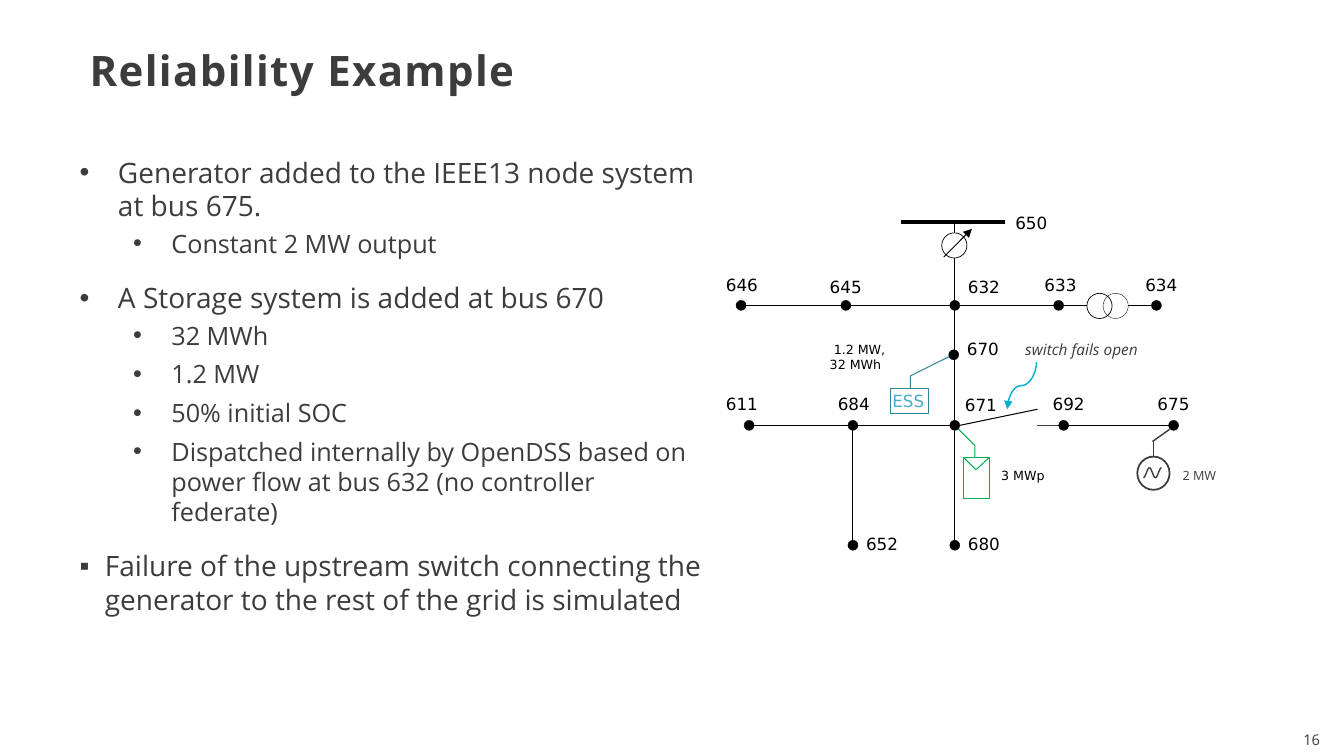
"""Build the reliability example slide with a feeder diagram."""
import math
import pptx
import pptx.util
import pptx.dml.color
import pptx.enum.shapes
import pptx.enum.text
import pptx.oxml

GREY, BLACK, WHITE = "3C3C3C", "000000", "FFFFFF"
GREEN, TEAL, AQUA, CYAN = "00B050", "31859B", "4BACC6", "00ADD0"
SANS, MONO = "Open Sans", "DejaVu Sans"

TITLE = "Reliability Example"
LEVELS = {
    "top": (20, 0.38, 0.38, 12, 2, "•"),
    "sub": (18, 0.91, 0.38, 2, 4, "•"),
    "end": (20, 0.25, 0.25, 12, 2, "▪"),
}
BODY = [
    ("top", "Generator added to the IEEE13 node system at bus 675."),
    ("sub", "Constant 2 MW output"),
    ("top", "A Storage system is added at bus 670"),
    ("sub", "32 MWh"),
    ("sub", "1.2 MW"),
    ("sub", "50% initial SOC"),
    ("sub", "Dispatched internally by OpenDSS based on power flow at bus 632 "
            "(no controller federate)"),
    ("end", "Failure of the upstream switch connecting the generator to the "
            "rest of the grid is simulated"),
]
BUSES = {
    "646": (7.35, 3.03, 7.2, 2.73),
    "645": (8.39, 3.03, 8.23, 2.75),
    "632": (9.47, 3.03, 9.6, 2.75),
    "633": (10.5, 3.03, 10.36, 2.73),
    "634": (11.47, 3.03, 11.36, 2.73),
    "670": (9.46, 3.52, 9.59, 3.36),
    "611": (7.43, 4.22, 7.2, 3.91),
    "684": (8.46, 4.22, 8.31, 3.91),
    "671": (9.47, 4.22, 9.57, 3.92),
    "692": (10.55, 4.22, 10.44, 3.91),
    "675": (11.64, 4.22, 11.48, 3.91),
    "652": (8.46, 5.41, 8.59, 5.3),
    "680": (9.47, 5.41, 9.6, 5.3),
}
LINKS = ["646 645", "645 632", "632 633", "632 671", "611 684",
         "684 671", "692 675", "684 652", "671 680"]
WIRES = [
    (8.94, 2.2, 9.97, 2.2, BLACK, 2.5),
    (9.47, 2.2, 9.47, 2.31, BLACK, 0.75),
    (9.47, 2.56, 9.47, 3.03, BLACK, 0.75),
    (10.5, 3.03, 10.78, 3.03, BLACK, 0.75),
    (11.19, 3.03, 11.47, 3.03, BLACK, 0.75),
    (9.52, 4.22, 10.29, 4.06, BLACK, 0.75),
    (10.5, 4.22, 10.29, 4.22, GREY, 1),
    (11.6, 4.26, 11.43, 4.38, GREY, 1),
    (11.44, 4.37, 11.44, 4.53, GREY, 1),
]
RINGS = [
    (9.34, 2.31, 0.25, 0.25, WHITE, BLACK, 0.5),
    (10.78, 2.91, 0.25, 0.25, WHITE, BLACK, 0.5),
    (10.94, 2.91, 0.25, 0.25, None, BLACK, 0.25),
    (11.28, 4.53, 0.32, 0.33, WHITE, GREY, 1.25),
]
BOXES = [
    (9.56, 4.54, 0.25, 0.41, None, GREEN, 0.75),
    (8.83, 3.85, 0.38, 0.25, None, TEAL, 0.75),
]
WAVE = [(11.34 + 0.18 * i / 36, 4.69 + 0.05 * math.cos(math.pi * i / 12))
        for i in range(37)]
PATHS = [
    ([(9.47, 4.22), (9.67, 4.42), (9.67, 4.54)], GREEN, 0.75),
    ([(9.56, 4.54), (9.68, 4.66), (9.81, 4.54)], GREEN, 0.75),
    ([(9.47, 3.51), (9.03, 3.73), (9.03, 3.86)], TEAL, 0.75),
    (WAVE, GREY, 1),
]
TIP = [(9.55, 2.3), (9.64, 2.27), (9.61, 2.36)]
NOTES = [
    ("650", 10.07, 2.11, 12, MONO, BLACK),
    ("ESS", 8.85, 3.88, 12, MONO, AQUA),
    ("3 MWp", 9.93, 4.64, 9, MONO, BLACK),
    ("1.2 MW,", 8.27, 3.39, 9, MONO, BLACK),
    ("32 MWh", 8.23, 3.54, 9, MONO, BLACK),
    ("2 MW", 11.73, 4.64, 9, SANS, GREY),
]
NS = "http://schemas.openxmlformats.org/drawingml/2006/main"
KINDS = pptx.enum.shapes.MSO_SHAPE
JOINS = pptx.enum.shapes.MSO_CONNECTOR


def cm(inch):
    """Turn inches into a Cm length."""
    return pptx.util.Cm(inch * 2.54)


deck = pptx.Presentation()
deck.slide_width, deck.slide_height = cm(13.33), cm(7.5)
slide = deck.slides.add_slide(deck.slide_layouts[6])
shapes = slide.shapes


def node(tag, attrs=""):
    """Make an empty drawing element."""
    return pptx.oxml.parse_xml(f'<a:{tag} xmlns:a="{NS}" {attrs}/>')


def paint(part, color):
    """Fill a part with a hex colour, or with nothing."""
    if color:
        part.solid()
        part.fore_color.rgb = pptx.dml.color.RGBColor.from_string(color)
    else:
        part.background()


def style(para, size, font, color, bold=False, slant=False):
    """Format the runs of a paragraph."""
    for run in para.runs:
        run.font.size = pptx.util.Pt(size)
        run.font.name = font
        run.font.bold, run.font.italic = bold, slant
        paint(run.font.fill, color)


def frame(x, y, w, h, side=0.1, edge=0.05):
    """Add a text box and return its frame."""
    text = shapes.add_textbox(cm(x), cm(y), cm(w), cm(h)).text_frame
    text.word_wrap = True
    text.margin_left = text.margin_right = cm(side)
    text.margin_top = text.margin_bottom = cm(edge)
    return text


def label(text, x, y, size, font, color):
    """Add a short diagram label."""
    box = frame(x, y, 0.4 if len(text) == 3 else 0.7, 0.2, 0, 0)
    box.text = text
    style(box.paragraphs[0], size, font, color)


def stroke(shape, color, width):
    """Set the outline of a shape."""
    paint(shape.line.fill, color)
    shape.line.width = pptx.util.Pt(width)


def solid(kind, x, y, w, h, fill, color, width):
    """Add a preset shape."""
    shape = shapes.add_shape(kind, cm(x), cm(y), cm(w), cm(h))
    shape.shadow.inherit = False
    paint(shape.fill, fill)
    stroke(shape, color, width)


def wire(x1, y1, x2, y2, color, width, kind=JOINS.STRAIGHT):
    """Add a connector without a shadow."""
    line = shapes.add_connector(kind, cm(x1), cm(y1), cm(x2), cm(y2))
    stroke(line, color, width)
    line._element.spPr.append(node("effectLst"))
    return line


def trace(dots, color, width, fill=None):
    """Add a freeform through the dots, closed when filled."""
    spots = [(cm(x), cm(y)) for x, y in dots]
    maker = shapes.build_freeform(*spots[0])
    maker.add_line_segments(spots[1:], close=bool(fill))
    shape = maker.convert_to_shape()
    shape.shadow.inherit = False
    paint(shape.fill, fill)
    stroke(shape, color, width)


num = frame(12.5, 7.2, 0.69, 0.29)
num.text = "16"
num.paragraphs[0].alignment = pptx.enum.text.PP_ALIGN.RIGHT
style(num.paragraphs[0], 10.5, SANS, GREY)

head = frame(0.79, 0.47, 10.89, 0.49)
head.text = TITLE
head.paragraphs[0].line_spacing = 0.85
style(head.paragraphs[0], 30, SANS, GREY, bold=True)
head.paragraphs[0].runs[0].font._element.set("spc", "100")

body = frame(0.79, 1.49, 6.22, 5.14, 0)
body.text = "\n".join(text for _, text in BODY)
for para, (level, _) in zip(body.paragraphs, BODY):
    size, left, hang, before, after, mark = LEVELS[level]
    para.level = int(level == "sub")
    para.line_spacing = 1.0
    para.space_before = pptx.util.Pt(before)
    para.space_after = pptx.util.Pt(after)
    props = para._p.get_or_add_pPr()
    props.set("marL", str(cm(left)))
    props.set("indent", str(-cm(hang)))
    props.append(node("buFont", 'typeface="Arial"'))
    props.append(node("buChar", f'char="{mark}"'))
    style(para, size, SANS, GREY)

for link in LINKS:
    start, end = (BUSES[bus][:2] for bus in link.split())
    wire(*start, *end, BLACK, 0.75)
for item in WIRES:
    wire(*item)
for item in RINGS:
    solid(KINDS.OVAL, *item)
for item in BOXES:
    solid(KINDS.RECTANGLE, *item)
for item in PATHS:
    trace(*item)
wire(9.36, 2.55, 9.59, 2.32, BLACK, 0.75)
trace(TIP, None, 0, BLACK)
for bus, (x, y, tx, ty) in BUSES.items():
    solid(KINDS.OVAL, x - 0.05, y - 0.05, 0.1, 0.1, BLACK, BLACK, 0.25)
    label(bus, tx, ty, 12, MONO, BLACK)
for item in NOTES:
    label(*item)

bend = wire(9.9, 3.68, 10.37, 3.97, CYAN, 1, JOINS.CURVE)
bend._element.spPr.xfrm.set("rot", "5400000")
bend.line._get_or_add_ln().append(node("tailEnd", 'type="triangle"'))
fault = frame(10.07, 3.32, 2.26, 0.29)
fault.text = "switch fails open"
style(fault.paragraphs[0], 11, SANS, GREY, slant=True)

deck.save("out.pptx")
